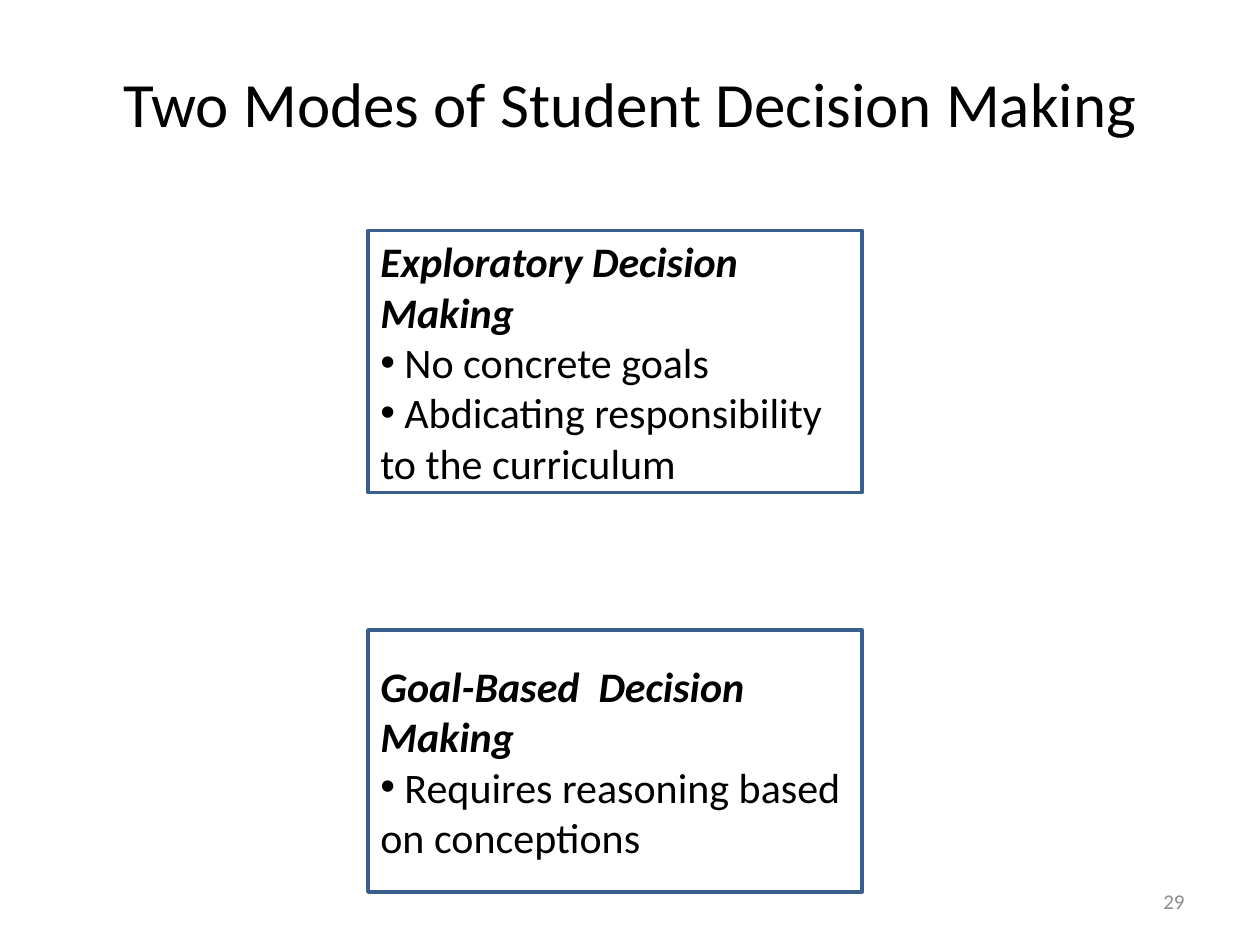
from lxml.etree import SubElement
from pptx import Presentation
from pptx.dml.color import RGBColor
from pptx.enum.shapes import MSO_SHAPE
from pptx.enum.text import MSO_ANCHOR, PP_ALIGN
from pptx.oxml.ns import qn
from pptx.util import Inches, Pt


def color(value):
    return RGBColor.from_string(value)


def write(box, lines, size, align, ink="000000"):
    """Fill a box with paragraphs and return them."""
    frame = box.text_frame
    frame.word_wrap = True
    frame.vertical_anchor = MSO_ANCHOR.MIDDLE
    frame.text = "\n".join(lines)
    for para in frame.paragraphs:
        para.alignment = align
        para.font.name = "Calibri"
        para.font.size = Pt(size)
        para.font.color.rgb = color(ink)
    return frame.paragraphs


deck = Presentation()
deck.slide_width, deck.slide_height = Inches(10), Inches(7.5)
page = deck.slides.add_slide(deck.slide_layouts[6])
margin = 0.5

# Title
title = page.shapes.add_textbox(Inches(margin), Inches(0.3), Inches(10 - 2 * margin), Inches(1.03))
write(title, ["Two Modes of Student Decision Making"], 36, PP_ALIGN.CENTER)

# One box per mode: heading, then bullets
modes = [
    ("Exploratory Decision Making",
     ["No concrete goals", "Abdicating responsibility to the curriculum"]),
    ("Goal-Based  Decision Making",
     ["Requires reasoning based on conceptions"]),
]
first_top, row_step = 1.83, 3.17
for row, (heading, points) in enumerate(modes):
    box = page.shapes.add_shape(MSO_SHAPE.RECTANGLE, Inches(2.92),
                                Inches(first_top + row * row_step), Inches(3.92), Inches(2.08))
    box.shadow.inherit = False
    box.fill.solid()
    box.fill.fore_color.rgb = color("FFFFFF")
    box.line.color.rgb = color("3A5F8C")
    box.line.width = Pt(2)
    lines = [heading] + [" " + point for point in points]
    head, *bullets = write(box, lines, 24, PP_ALIGN.LEFT)
    head.font.bold = head.font.italic = True
    for para in bullets:
        properties = para._p.get_or_add_pPr()
        bullet_font = properties.makeelement(qn("a:buFont"), {"typeface": "Arial"})
        properties.insert(0, bullet_font)
        bullet = properties.makeelement(qn("a:buChar"), {"char": "•"})
        bullet_font.addnext(bullet)

# Page number
number = page.shapes.add_textbox(Inches(7.17), Inches(6.95), Inches(2.33), Inches(0.4))
write(number, ["29"], 12, PP_ALIGN.RIGHT, "8C8C8C")

deck.save("out.pptx")
